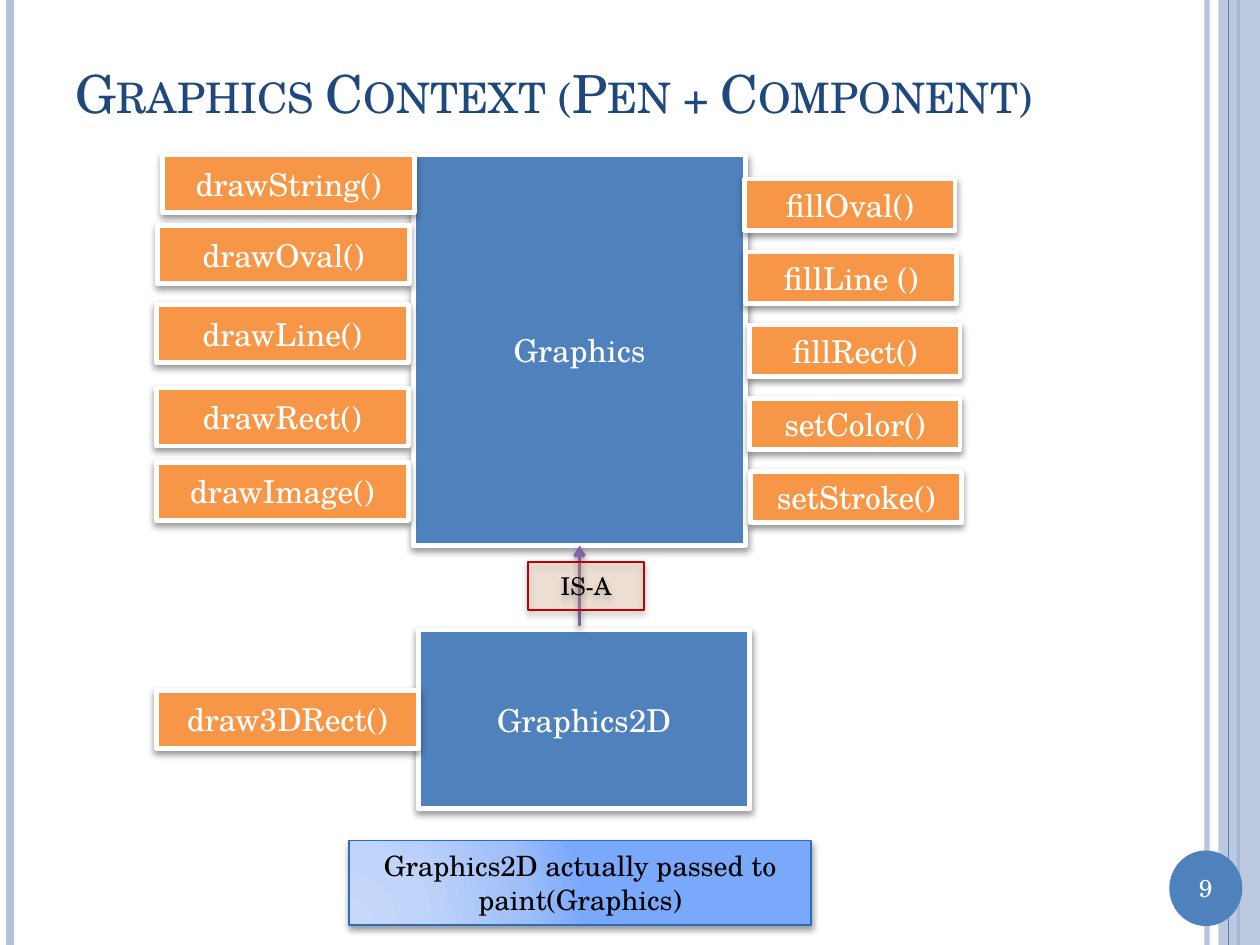
from lxml import etree
from pptx import Presentation
from pptx.dml.color import RGBColor
from pptx.enum.shapes import MSO_CONNECTOR, MSO_SHAPE
from pptx.enum.text import MSO_ANCHOR, PP_ALIGN
from pptx.oxml import parse_xml
from pptx.oxml.ns import nsdecls, qn
from pptx.util import Inches, Pt

RECT = MSO_SHAPE.RECTANGLE
OVAL = MSO_SHAPE.OVAL
LINE = MSO_CONNECTOR.STRAIGHT
MID = MSO_ANCHOR.MIDDLE
LEFT = PP_ALIGN.LEFT
CENTER = PP_ALIGN.CENTER
FONT = "TeX Gyre Schola"
COLORS = {
    "white": "FFFFFF", "black": "000000", "pale": "B3C1DB",
    "blue": "4F81BD", "navy": "1F497D", "orange": "F79646",
    "peach": "FAC090", "red": "C00000", "purple": "8064A2",
    "edge": "2C6CB9",
}
STOPS = [(0, "C7D8FB"), (30, "C1D5FA"), (75, "9FBFF9"), (100, "7AA9FB")]
DRAWS = [
    ("drawString()", 1.29, 1.23), ("drawOval()", 1.25, 1.79),
    ("drawLine()", 1.24, 2.42), ("drawRect()", 1.24, 3.08),
    ("drawImage()", 1.24, 3.67),
]
FILLS = [
    ("fillOval()", 5.91), ("fillLine ()", 5.92), ("fillRect()", 5.95),
    ("setColor()", 5.95), ("setStroke()", 5.96),
]


def rgb(name):
    return RGBColor.from_string(COLORS[name])


def style(par, size, color, align=CENTER):
    par.alignment = align
    par.font.name = FONT
    par.font.size = Pt(size)
    par.font.color.rgb = rgb(color)


def fade(part, pct):
    color = next(part.iter(qn("a:srgbClr")))
    etree.SubElement(color, qn("a:alpha"), val=str(pct * 1000))


def shade(item):
    props = item._element.spPr
    for old in props.findall(qn("a:effectLst")):
        props.remove(old)
    props.append(parse_xml(
        f'<a:effectLst {nsdecls("a")}><a:outerShdw blurRad="{Pt(4)}" '
        f'dist="{Pt(2)}" dir="5400000" rotWithShape="0">'
        '<a:srgbClr val="000000"><a:alpha val="40000"/></a:srgbClr>'
        '</a:outerShdw></a:effectLst>'))


def add_form(slide, kind, at, fill, alpha=None):
    form = slide.shapes.add_shape(kind, *map(Inches, at))
    form.shadow.inherit = False
    form.fill.solid()
    form.fill.fore_color.rgb = rgb(fill)
    form.line.fill.background()
    if alpha:
        fade(form._element.spPr.find(qn("a:solidFill")), alpha)
    return form


def add_box(slide, text, at, fill, edge="white", width=2.75,
            size=18, color="white", alpha=None):
    box = add_form(slide, RECT, at, fill, alpha)
    box.line.color.rgb = rgb(edge)
    box.line.width = Pt(width)
    shade(box)
    frame = box.text_frame
    frame.word_wrap = True
    frame.vertical_anchor = MID
    frame.text = text
    style(frame.paragraphs[0], size, color)
    return box


def add_line(slide, start, end, color, width, alpha=None):
    line = slide.shapes.add_connector(LINE, *map(Inches, start + end))
    line.line.color.rgb = rgb(color)
    line.line.width = Pt(width)
    etree.SubElement(line._element.spPr, qn("a:effectLst"))
    if alpha:
        fade(line.line._get_or_add_ln(), alpha)
    return line


def add_rule(slide, left, color, width, alpha=None):
    add_line(slide, (left, 0), (left, 7.5), color, width, alpha)


def add_glow(box):
    stops = "".join(
        f'<a:gs pos="{pos * 1000}"><a:srgbClr val="{color}"/></a:gs>'
        for pos, color in STOPS)
    glow = parse_xml(
        f'<a:gradFill {nsdecls("a")} rotWithShape="1"><a:gsLst>{stops}'
        '</a:gsLst><a:path path="circle"><a:fillToRect l="5000" t="100000" '
        'r="120000" b="10000"/></a:path></a:gradFill>')
    props = box._element.spPr
    props.replace(props.find(qn("a:solidFill")), glow)


def add_frame(slide):
    add_rule(slide, 9.58, "pale", 3, 93)
    add_rule(slide, 0.08, "pale", 4.5)
    add_rule(slide, 9.83, "blue", 1.5)
    add_form(slide, RECT, (9.67, 0, 0.33, 7.5), "pale", 87)
    add_rule(slide, 9.75, "blue", 0.75)
    add_form(slide, OVAL, (9.28, 6.75, 0.58, 0.6), "blue")
    area = map(Inches, (9.28, 6.88, 0.58, 0.34))
    frame = slide.shapes.add_textbox(*area).text_frame
    frame.word_wrap = True
    frame.text = "9"
    style(frame.paragraphs[0], 14, "white")


def set_title(slide, text):
    title = slide.shapes.title
    title.left, title.top = Inches(0.5), Inches(0.3)
    title.width, title.height = Inches(8.67), Inches(0.87)
    frame = title.text_frame
    frame.vertical_anchor = MID
    frame.text = text
    par = frame.paragraphs[0]
    style(par, 30, "navy", LEFT)
    par.runs[0].font._element.set("cap", "small")


def add_arrow(slide, base):
    arrow = add_line(slide, (4.6, 4.97), (4.6, 4.33), "purple", 2)
    arrow.end_connect(base, 2)
    ln = arrow.line._get_or_add_ln()
    etree.SubElement(ln, qn("a:tailEnd"), type="arrow")
    shade(arrow)


def main():
    prs = Presentation()
    prs.slide_width, prs.slide_height = Inches(10), Inches(7.5)
    slide = prs.slides.add_slide(prs.slide_layouts[5])
    add_frame(slide)
    set_title(slide, "Graphics Context (Pen + Component)")
    base = add_box(slide, "Graphics", (3.28, 1.23, 2.64, 3.1), "blue")
    for text, left, top in DRAWS:
        add_box(slide, text, (left, top, 2, 0.46), "orange")
    add_box(slide, "Graphics2D", (3.32, 5, 2.63, 1.42), "blue")
    add_arrow(slide, base)
    add_box(slide, "IS-A", (4.19, 4.46, 0.92, 0.38), "peach",
            "red", 1, 14, "black", 23)
    add_box(slide, "draw3DRect()", (1.24, 5.48, 2.08, 0.46), "orange")
    note = add_box(slide, "Graphics2D actually passed to paint(Graphics)",
                   (2.77, 6.67, 3.67, 0.67), "blue", "edge", 1, 16, "black")
    add_glow(note)
    for row, (text, left) in enumerate(FILLS):
        top = 1.42 + row * 0.58
        add_box(slide, text, (left, top, 1.67, 0.41), "orange")
    prs.save("out.pptx")


if __name__ == "__main__":
    main()
